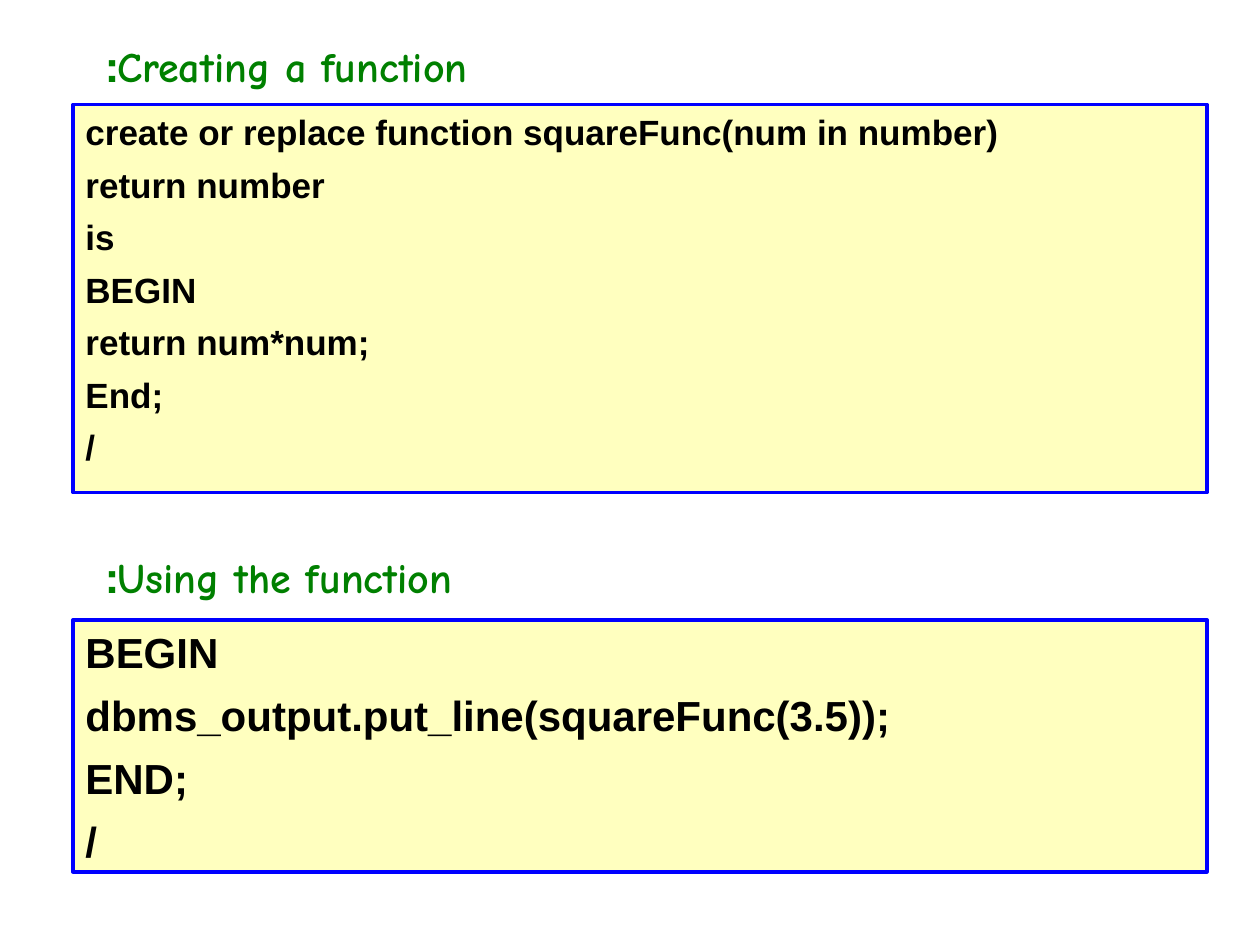
from dataclasses import dataclass
from pptx import Presentation
from pptx.dml.color import RGBColor
from pptx.enum.shapes import MSO_SHAPE
from pptx.enum.text import MSO_ANCHOR, PP_ALIGN
from pptx.oxml.xmlchemy import OxmlElement
from pptx.util import Inches, Pt

WIDE, HIGH = Inches(10), Inches(7.5)


@dataclass
class Part:
    title: str
    top: float
    code: list[str]
    box_top: float
    box_high: float
    size: float
    gap: float


PARTS = [
    Part("Creating a function:", 0.27 / 7.5, [
        "create or replace function squareFunc(num in number)",
        "return number",
        "is",
        "BEGIN",
        "return num*num;",
        "End;",
        "/",
    ], 0.83 / 7.5, 3.08 / 7.5, 20, 6),
    Part("Using the function:", 4.33 / 7.5, [
        "BEGIN",
        "dbms_output.put_line(squareFunc(3.5));",
        "END;",
        "/",
    ], 4.92 / 7.5, 2 / 7.5, 24, 7.2),
]


def hue(code: str) -> RGBColor:
    return RGBColor.from_string(code)


def area(left: float, top: float, wide: float, high: float) -> list[int]:
    return [round(left * WIDE), round(top * HIGH), round(wide * WIDE), round(high * HIGH)]


def write(frame, lines: list[str], *, size: float, font: str, color: str,
          gap: float = 0, hang: float = 0, rtl: bool = False) -> None:
    frame.word_wrap = True
    frame.vertical_anchor = MSO_ANCHOR.TOP
    for row, line in enumerate(lines):
        para = frame.paragraphs[0] if row == 0 else frame.add_paragraph()
        para.alignment = PP_ALIGN.LEFT
        props = para._p.get_or_add_pPr()
        if rtl:
            props.set("rtl", "1")
        if hang:
            props.set("marL", str(Inches(hang)))
            props.set("indent", str(-Inches(hang)))
        if row:
            para.space_before = Pt(gap)
        run = para.add_run()
        run.text = line
        run.font.size = Pt(size)
        run.font.name = font
        run.font.bold = True
        run.font.color.rgb = hue(color)


def panel(slide, part: Part) -> None:
    box = slide.shapes.add_shape(
        MSO_SHAPE.RECTANGLE, *area(0.058, part.box_top, 0.9, part.box_high))
    box.shadow.inherit = False
    box.fill.solid()
    box.fill.fore_color.rgb = hue("FFFF99")
    alpha = OxmlElement("a:alpha")
    alpha.set("val", "62000")
    box.fill._xPr.solidFill[0].append(alpha)
    box.line.color.rgb = hue("0000FF")
    box.line.width = Pt(2)
    write(box.text_frame, part.code, size=part.size, font="Arial",
          color="000000", gap=part.gap, hang=0.38)


def head(slide, part: Part) -> None:
    box = slide.shapes.add_textbox(*area(0.075, part.top, 0.392, 0.5 / 7.5))
    write(box.text_frame, [part.title], size=24, font="Comic Neue",
          color="008000", rtl=True)


def main() -> None:
    deck = Presentation()
    deck.slide_width, deck.slide_height = WIDE, HIGH
    slide = deck.slides.add_slide(deck.slide_layouts[6])
    for draw in (panel, head):
        for part in PARTS:
            draw(slide, part)
    deck.save("out.pptx")


if __name__ == "__main__":
    main()
